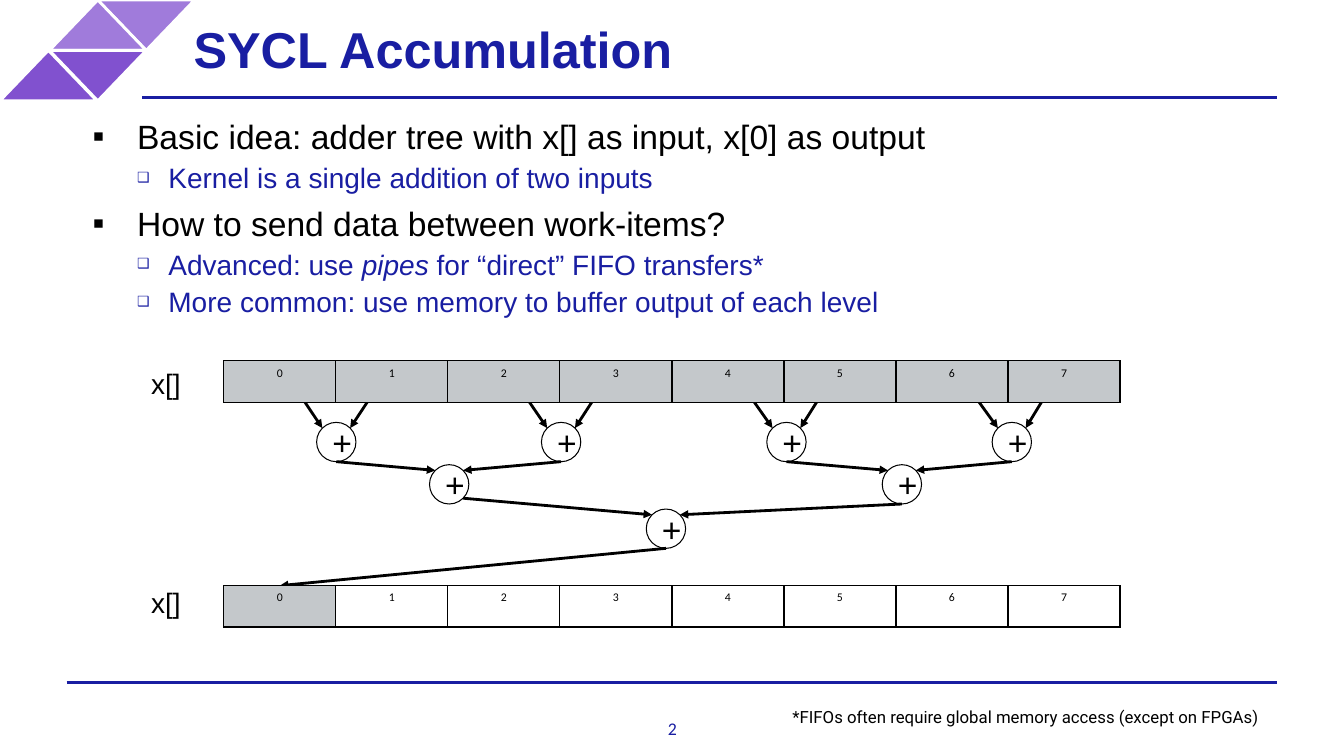
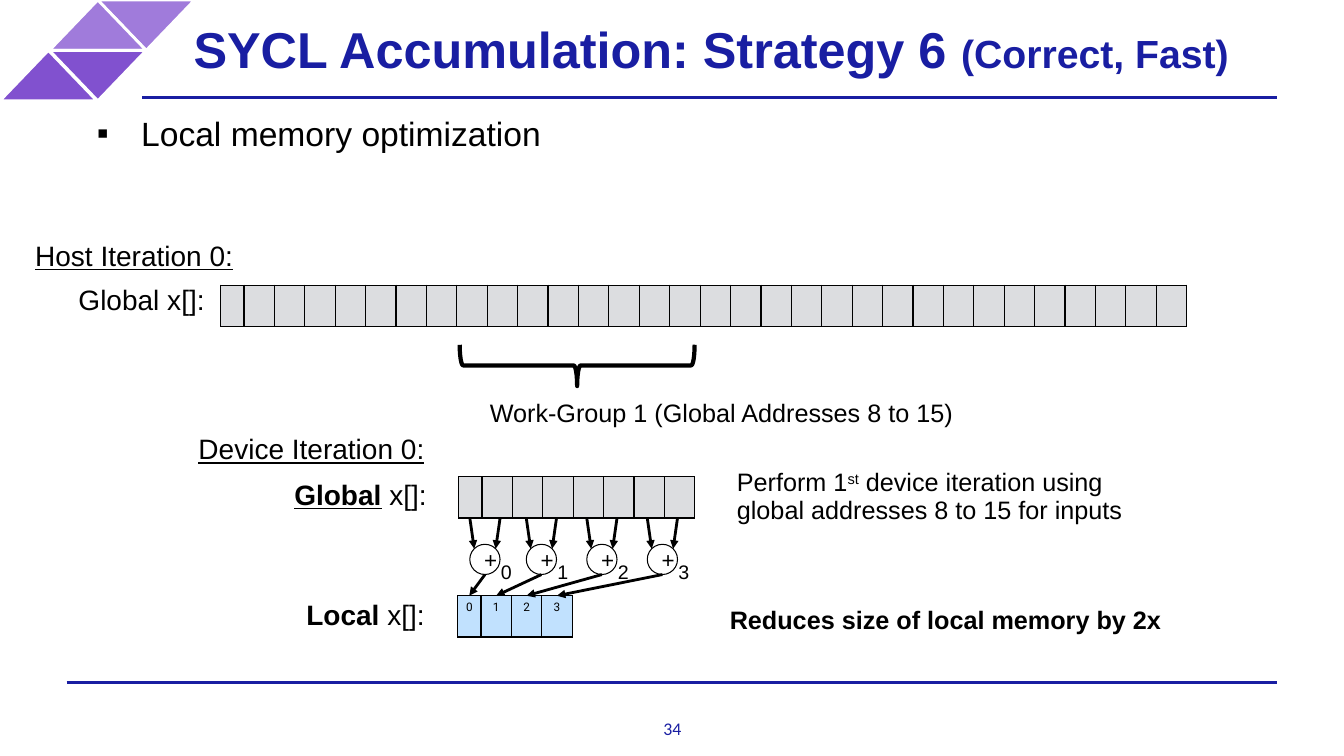
import dataclasses
import math
import pptx
import pptx.dml.color
import pptx.enum.shapes
import pptx.enum.text
import pptx.oxml
import pptx.oxml.ns
import pptx.util
from pptx.util import Inches

Pt = pptx.util.Pt
Shape = pptx.enum.shapes.MSO_SHAPE
Align = pptx.enum.text.PP_ALIGN
Anchor = pptx.enum.text.MSO_ANCHOR


@dataclasses.dataclass(frozen=True)
class Theme:
    navy: str = "191EA2"
    black: str = "000000"
    white: str = "FFFFFF"
    light: str = "A07BDB"
    deep: str = "8151CF"
    gray: str = "C4C8CB"
    pale: str = "DCDDE0"
    sky: str = "C1E1FE"
    font: str = "Arial"
    page: str = "Calibri"
    note: str = "Roboto"
    title: int = 36
    sub: int = 28
    body: int = 24
    label: int = 20
    small: int = 18
    tiny: float = 8.4


T = Theme()

RULES = [(0.66, 6.77), (1.41, 0.97)]
BADGE = [(0.97, 0, 180, T.light), (0.49, 0, 0, T.light),
         (0.49, 0.5, 180, T.deep), (0, 0.5, 0, T.deep)]
LEVELS = [dict(mark="▪", left=0.5, hang=0.44, gap=6, size=T.body, color=T.black, pct=100),
          dict(mark="❑", left=0.81, hang=0.31, gap=3, size=T.label, color=T.navy, pct=50)]

TREE = dict(
    title=[("SYCL Accumulation", T.title, "b")],
    page="2",
    body=(0.86, 1.15, [
        (0, [("Basic idea: adder tree with x[] as input, x[0] as output", "")]),
        (1, [("Kernel is a single addition of two inputs", "")]),
        (0, [("How to send data between work-items?", "")]),
        (1, [("Advanced: use ", ""), ("pipes ", "i"), ("for “direct” FIFO transfers*", "")]),
        (1, [("More common: use memory to buffer output of each level", "")])]),
    labels=[(1.4, 3.64, 0.87, T.label, [("x[]", "")]),
            (1.4, 5.81, 0.87, T.label, [("x[]", "")])],
)
SUMS = [(4.385, [3.335, 5.565, 7.8, 10.035]), (4.805, [4.455, 8.945]), (5.245, [6.605])]
NOTE = "*FIFOs often require global memory access (except on FPGAs)"

FAST = dict(
    title=[("SYCL Accumulation: Strategy 6 ", T.title, "b"), ("(Correct, Fast)", T.sub, "b")],
    page="34",
    body=(0.9, 1.12, [(0, [("Local memory optimization", "")])]),
    labels=[
        (4.76, 3.91, 5.25, T.small, [("Work-Group 1 (Global Addresses 8 to 15)", "")]),
        (0.68, 2.81, 1.52, T.label, [("Global x[]:", "")]),
        (0.25, 2.37, 2.32, T.label, [("Host Iteration 0:", "u")]),
        (1.87, 4.29, 2.5, T.label, [("Device Iteration 0:", "u")]),
        (2.82, 4.74, 1.62, T.label, [("Global", "bu"), (" x[]:", "")]),
        (2.94, 5.93, 1.6, T.label, [("Local ", "b"), ("x[]:", "")]),
        (7.21, 4.6, 4.35, T.small, [
            ("Perform 1", ""), ("st", "^"),
            (" device iteration using global addresses 8 to 15 for inputs", "")]),
        (7.14, 5.97, 4.6, T.small, [("Reduces size of local memory by 2x", "b")])],
)
PAIRS = [4.81, 5.37, 5.97, 6.57]


def rgb(color):
    return pptx.dml.color.RGBColor.from_string(color)


def put(para, text, size, flags="", color=T.black, font=T.font):
    run = para.add_run()
    run.text = text
    face = run.font
    face.name, face.size = font, Pt(size)
    face.color.rgb = rgb(color)
    face.bold, face.italic, face.underline = "b" in flags, "i" in flags, "u" in flags
    if "^" in flags:
        run._r.get_or_add_rPr().set("baseline", "30000")


def frame(slide, x, y, w, h, inset=0.0, anchor=Anchor.TOP):
    box = slide.shapes.add_textbox(Inches(x), Inches(y), Inches(w), Inches(h)).text_frame
    box.word_wrap = True
    box.vertical_anchor = anchor
    box.margin_left = box.margin_right = box.margin_top = box.margin_bottom = Inches(inset)
    return box


def label(slide, x, y, w, size, runs):
    box = frame(slide, x, y, w, 0.38, 0.05)
    box.margin_left = box.margin_right = Inches(0.1)
    para = box.paragraphs[0]
    para.line_spacing = Pt(20)
    for text, flags in runs:
        put(para, text, size, flags)


def line(slide, start, end, color=T.black, arrow=True):
    link = slide.shapes.add_connector(
        pptx.enum.shapes.MSO_CONNECTOR.STRAIGHT, *[Inches(v) for v in (*start, *end)])
    link.line.color.rgb = rgb(color)
    link.line.width = Pt(2)
    if arrow:
        tail = pptx.oxml.parse_xml(f'<a:tailEnd {pptx.oxml.ns.nsdecls("a")} type="triangle"/>')
        link.line._get_or_add_ln().append(tail)
    link._element.spPr.append(
        pptx.oxml.parse_xml(f'<a:effectLst {pptx.oxml.ns.nsdecls("a")}/>'))


def shape(slide, kind, x, y, w, h, fill=None, edge=T.black, width=0.75, turn=0):
    item = slide.shapes.add_shape(kind, Inches(x), Inches(y), Inches(w), Inches(h))
    item.shadow.inherit = False
    item.rotation = turn
    if fill:
        item.fill.solid()
        item.fill.fore_color.rgb = rgb(fill)
    else:
        item.fill.background()
    item.line.color.rgb = rgb(edge)
    item.line.width = Pt(width)
    return item


def adder(slide, x, y, side, size):
    item = shape(slide, Shape.OVAL, x - side / 2, y - side / 2, side, side)
    box = item.text_frame
    box.word_wrap = True
    box.vertical_anchor = Anchor.MIDDLE
    box.paragraphs[0].alignment = Align.LEFT
    put(box.paragraphs[0], "+", size)


def rim(x, y, side, dx, dy):
    reach = side / 2 * math.sqrt(0.5)
    return x + dx * reach, y + dy * reach


def grid(slide, x, y, widths, fills, texts=(), font=T.page):
    table = slide.shapes.add_table(
        1, len(widths), Inches(x), Inches(y), Inches(sum(widths)), Inches(0.41)).table
    table.first_row = table.horz_banding = False
    table.rows[0].height = Inches(0.41)
    for i, (width, fill) in enumerate(zip(widths, fills)):
        table.columns[i].width = Inches(width)
        cell = table.cell(0, i)
        cell.margin_left = cell.margin_right = cell.margin_bottom = 0
        props = cell._tc.get_or_add_tcPr()
        for side in ("lnL", "lnR", "lnT", "lnB"):
            props.append(pptx.oxml.parse_xml(
                f'<a:{side} {pptx.oxml.ns.nsdecls("a")} w="12700"><a:solidFill>'
                f'<a:srgbClr val="{T.black}"/></a:solidFill></a:{side}>'))
        if fill:
            cell.fill.solid()
            cell.fill.fore_color.rgb = rgb(fill)
        else:
            cell.fill.background()
        if texts:
            para = cell.text_frame.paragraphs[0]
            para.alignment = Align.CENTER
            put(para, texts[i], T.tiny, font=font)


def mids(x, widths):
    return [x + sum(widths[:i]) + width / 2 for i, width in enumerate(widths)]


def narrow(count):
    return [0.23] + [0.3016] * (count - 1)


def outline(slide, x, y, items):
    box = frame(slide, x, y, 11.99, 2.49)
    for i, (depth, runs) in enumerate(items):
        look = LEVELS[depth]
        para = box.add_paragraph() if i else box.paragraphs[0]
        para.level = depth
        para.space_before = Pt(look["gap"])
        props = para._p.get_or_add_pPr()
        props.set("marL", str(Inches(look["left"])))
        props.set("indent", str(-Inches(look["hang"])))
        for tag in (f'buSzPct val="{look["pct"] * 1000}"', f'buFont typeface="{T.font}"',
                    f'buChar char="{look["mark"]}"'):
            name, rest = tag.split(" ", 1)
            props.append(pptx.oxml.parse_xml(
                f'<a:{name} {pptx.oxml.ns.nsdecls("a")} {rest}/>'))
        for text, flags in runs:
            put(para, text, look["size"], flags, look["color"])


def begin(deck, data):
    slide = deck.slides.add_slide(deck.slide_layouts[6])
    for x, y, turn, fill in BADGE:
        shape(slide, Shape.ISOSCELES_TRIANGLE, x, y, 0.96, 0.5, fill, T.white, 2, turn)
    for x, y in RULES:
        line(slide, (x, y), (12.67, y), T.navy, False)
    head = frame(slide, 1.78, 0, 11.42, 0.95, 0.14, Anchor.MIDDLE).paragraphs[0]
    for text, size, flags in data["title"]:
        put(head, text, size, flags, T.navy)
    foot = frame(slide, 6.37, 7.12, 0.6, 0.21).paragraphs[0]
    foot.alignment = Align.CENTER
    put(foot, data["page"], 12.7, color=T.navy, font=T.page)
    outline(slide, *data["body"])
    for item in data["labels"]:
        label(slide, *item)
    return slide


def draw_tree(deck):
    slide = begin(deck, TREE)
    side, left, top, low = 0.39, 2.22, 3.58, 5.81
    widths = [8.89 / 8] * 8
    cells = mids(left, widths)
    starts = [(x, top + 0.04) for x in cells]
    for y, row in SUMS:
        for i, x in enumerate(row):
            adder(slide, x, y, side, T.body)
            for start, way in zip(starts[2 * i:2 * i + 2], (-1, 1)):
                line(slide, start, rim(x, y, side, way, -1))
        starts = [(x, y + side / 2) for x in row]
        if len(row) == 2:
            starts[0] = rim(row[0], y, side, 1, 1)
    line(slide, starts[0], (cells[0], low))
    names = [str(i) for i in range(8)]
    grid(slide, left, top, widths, [T.gray] * 8, names)
    grid(slide, left, low, widths, [T.gray] + [None] * 7, names)
    note = frame(slide, 7.8, 6.96, 5.04, 0.31, 0.06, Anchor.MIDDLE)
    put(note.paragraphs[0], NOTE, 12, font=T.note)


def draw_fast(deck):
    slide = begin(deck, FAST)
    side, mid, top, low = 0.3, 5.55, 4.73, 5.91
    grid(slide, 2.19, 2.83, narrow(32), [T.pale] * 32)
    shape(slide, Shape.LEFT_BRACE, 5.52, 2.46, 0.41, 2.33, width=3, turn=270)
    grid(slide, 4.55, top, narrow(8), [T.pale] * 8)
    grid(slide, 4.54, low, narrow(4), [T.sky] * 4, [str(i) for i in range(4)], T.note)
    for i, (x, goal) in enumerate(zip(PAIRS, mids(4.54, narrow(4)))):
        adder(slide, x, mid, side, 16)
        for way in (-1, 1):
            line(slide, (x + way * side / 2, top + 0.41), rim(x, mid, side, way, -1))
        line(slide, (x, mid + side / 2), (goal, low))
        label(slide, x + 0.06, 5.46, 0.4, 14, [(str(i), "")])


def main():
    deck = pptx.Presentation()
    deck.slide_width, deck.slide_height = Inches(13.33), Inches(7.5)
    draw_tree(deck)
    draw_fast(deck)
    deck.save("out.pptx")


if __name__ == "__main__":
    main()
